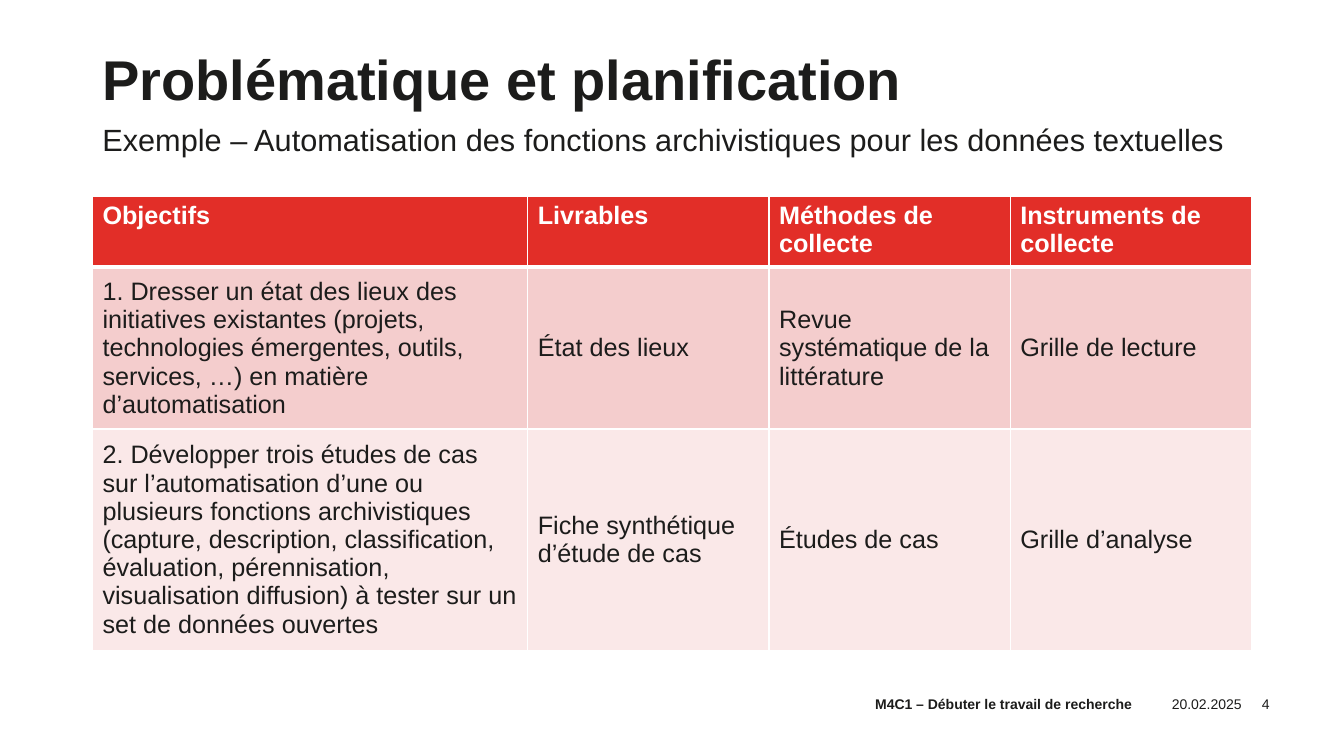
"""Build the slide on research questions and planning, with its table of objectives."""
import dataclasses

import lxml.etree
import pptx
import pptx.dml.color
import pptx.enum.text
import pptx.oxml.ns
import pptx.util

Cm = pptx.util.Cm
Align = pptx.enum.text.PP_ALIGN
Anchor = pptx.enum.text.MSO_ANCHOR

INK = "1C1C1B"
WHITE = "FFFFFF"
LEFT, WIDTH = 2.33, 29.21


@dataclasses.dataclass
class TextItem:
    text: str
    left: float
    top: float
    width: float
    height: float
    size: float
    bold: bool = False
    align: Align = Align.LEFT
    anchor: Anchor = Anchor.MIDDLE
    line_spacing: float = 0.9


@dataclasses.dataclass
class TableRow:
    texts: list[str]
    height: float
    fill: str
    color: str = INK
    bold: bool = False
    anchor: Anchor = Anchor.MIDDLE


TITLE = TextItem("Problématique et planification", LEFT, 1.17, WIDTH, 1.8, 40,
                 bold=True, anchor=Anchor.BOTTOM)
TEXT_ITEMS = [
    TextItem("Exemple – Automatisation des fonctions archivistiques pour les données textuelles",
             LEFT, 3.18, WIDTH, 1.62, 21.9, align=Align.JUSTIFY,
             anchor=Anchor.TOP, line_spacing=0.7),
    TextItem("M4C1 – Débuter le travail de recherche", 20.57, 17.45, 8.2, 0.61, 10,
             bold=True, align=Align.RIGHT),
    TextItem("20.02.2025", 29.03, 17.48, 2.51, 0.56, 10, align=Align.RIGHT),
    TextItem("4", 31.55, 17.4, 1.73, 0.69, 10, line_spacing=1.0),
]
COLUMN_WIDTHS = [10.97, 6.08, 6.08, 6.08]
TABLE_ROWS = [
    TableRow(["Objectifs", "Livrables", "Méthodes de collecte", "Instruments de collecte"],
             1.78, "E22E28", color=WHITE, bold=True, anchor=Anchor.TOP),
    TableRow(["1. Dresser un état des lieux des initiatives existantes (projets, technologies "
              "émergentes, outils, services, …) en matière d’automatisation",
              "État des lieux", "Revue systématique de la littérature", "Grille de lecture"],
             4.08, "F4CDCD"),
    TableRow(["2. Développer trois études de cas sur l’automatisation d’une ou plusieurs "
              "fonctions archivistiques (capture, description, classification, évaluation, "
              "pérennisation, visualisation diffusion) à tester sur un set de données ouvertes",
              "Fiche synthétique d’étude de cas", "Études de cas", "Grille d’analyse"],
             5.58, "FAE8E8"),
]


def rgb(color: str) -> pptx.dml.color.RGBColor:
    return pptx.dml.color.RGBColor.from_string(color)


def write_text(frame, text: str, *, size: float, color: str = INK, bold: bool = False,
               align: Align = Align.LEFT, line_spacing: float = 1.0) -> None:
    paragraph = frame.paragraphs[0]
    paragraph.alignment = align
    paragraph.line_spacing = line_spacing
    paragraph.space_before = pptx.util.Pt(0)
    run = paragraph.add_run()
    run.text = text
    run.font.name = "Arial"
    run.font.size = pptx.util.Pt(size)
    run.font.bold = bold
    run.font.color.rgb = rgb(color)


def fill_text_shape(shape, item: TextItem) -> None:
    shape.left, shape.top = Cm(item.left), Cm(item.top)
    shape.width, shape.height = Cm(item.width), Cm(item.height)
    frame = shape.text_frame
    frame.word_wrap = True
    frame.auto_size = pptx.enum.text.MSO_AUTO_SIZE.NONE
    frame.vertical_anchor = item.anchor
    write_text(frame, item.text, size=item.size, bold=item.bold,
               align=item.align, line_spacing=item.line_spacing)


def add_borders(cell, widths: dict[str, float]) -> None:
    qn = pptx.oxml.ns.qn
    properties = cell._tc.get_or_add_tcPr()
    for side, width in widths.items():
        line = lxml.etree.SubElement(properties, qn(f"a:ln{side}"), w=str(pptx.util.Pt(width)))
        fill = lxml.etree.SubElement(line, qn("a:solidFill"))
        lxml.etree.SubElement(fill, qn("a:srgbClr"), val=WHITE)


def add_objectives_table(slide) -> None:
    height = sum(row.height for row in TABLE_ROWS)
    table = slide.shapes.add_table(len(TABLE_ROWS), len(COLUMN_WIDTHS), Cm(LEFT), Cm(4.95),
                                   Cm(WIDTH), Cm(height)).table
    for column, width in zip(table.columns, COLUMN_WIDTHS):
        column.width = Cm(width)
    for index, row in enumerate(TABLE_ROWS):
        table.rows[index].height = Cm(row.height)
        top = 3 if index == 1 else 1
        bottom = 3 if index == 0 else 1
        for cell, text in zip(table.rows[index].cells, row.texts):
            add_borders(cell, {"L": 1, "R": 1, "T": top, "B": bottom})
            cell.fill.solid()
            cell.fill.fore_color.rgb = rgb(row.fill)
            cell.vertical_anchor = row.anchor
            write_text(cell.text_frame, text, size=18, color=row.color, bold=row.bold)


def main() -> None:
    presentation = pptx.Presentation()
    presentation.slide_width, presentation.slide_height = Cm(33.87), Cm(19.05)
    slide = presentation.slides.add_slide(presentation.slide_layouts.get_by_name("Title Only"))
    fill_text_shape(slide.shapes.title, TITLE)
    for item in TEXT_ITEMS:
        fill_text_shape(slide.shapes.add_textbox(0, 0, 0, 0), item)
    add_objectives_table(slide)
    presentation.save("out.pptx")


if __name__ == "__main__":
    main()
